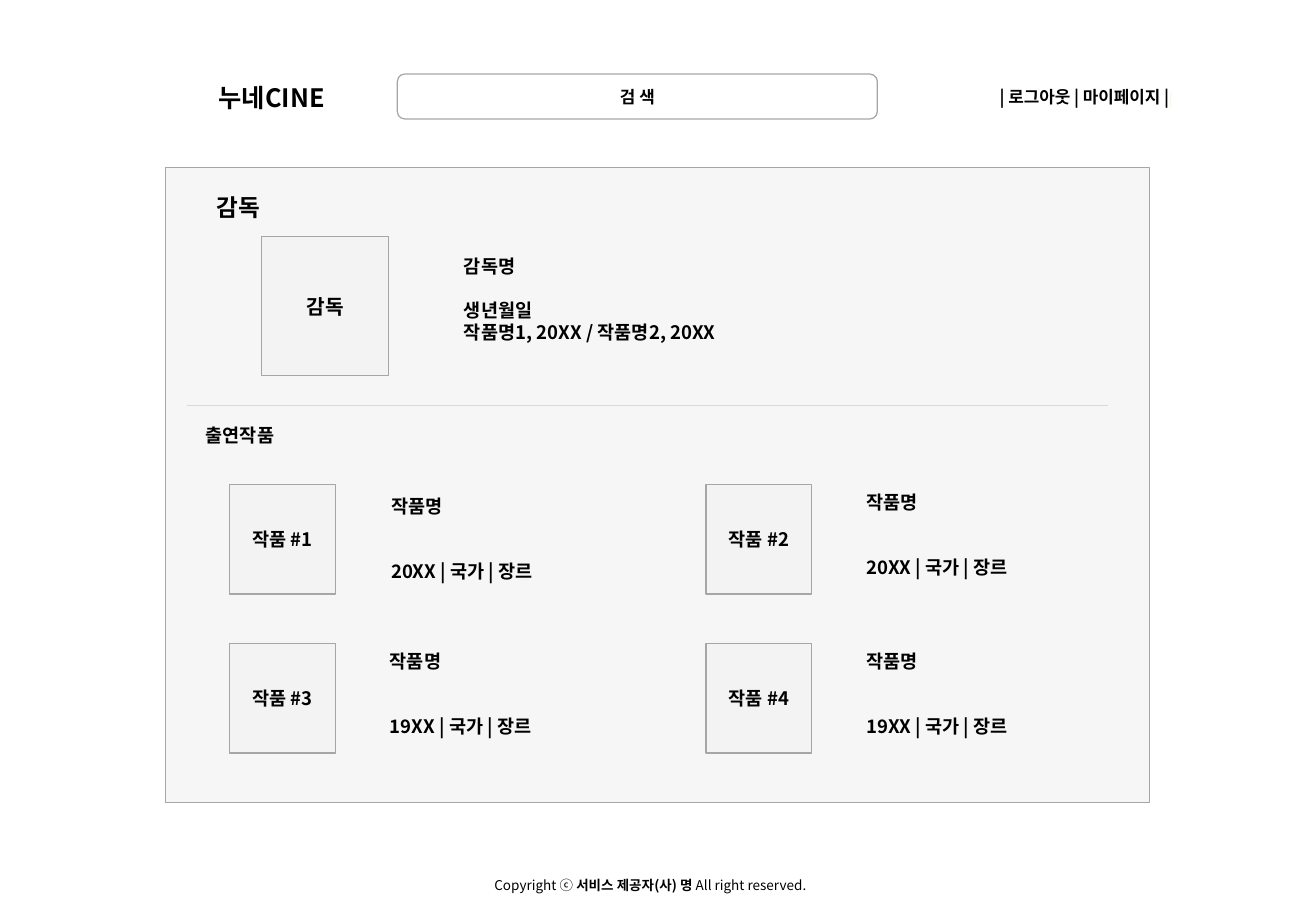
from lxml.etree import SubElement
from pptx import Presentation
from pptx.dml.color import RGBColor
from pptx.enum.shapes import MSO_CONNECTOR as Connector, MSO_SHAPE as Shape
from pptx.enum.text import MSO_ANCHOR as Anchor, MSO_AUTO_SIZE as AutoSize, PP_ALIGN as Align
from pptx.oxml.ns import qn
from pptx.util import Pt

PX = 9144
FONT = "Noto Sans CJK KR"
COLORS = {"text": "000000", "box": "F2F2F2", "border": "A6A6A6", "divider": "D9D9D9", "pale": "FAF3DB"}
OPACITY = 69
LINE_WIDTH = 0.75
LINE_HEIGHT = 1.19

HEADER = (170, 61, 805, 37)
PANEL = (136, 138, 810, 523)
FOOTER = (397, 717, 289, 24)
WORKS = [
    ("작품 #1", "20XX", (123, 4)),
    ("작품 #2", "20XX", (122, 0)),
    ("작품 #3", "19XX", (122, 0)),
    ("작품 #4", "19XX", (122, 0)),
]


def color(name):
    """Return a named colour as RGB."""
    return RGBColor.from_string(COLORS[name])


def px(*lengths):
    """Turn pixel lengths into EMU."""
    return [length * PX for length in lengths]


def add_run(paragraph, text, size, bold=True, tone="text"):
    """Append one formatted run to a paragraph."""
    run = paragraph.add_run()
    run.text = text
    run.font.size = Pt(size)
    run.font.bold = bold
    run.font.color.rgb = color(tone)
    run.font.name = FONT
    SubElement(run.font._element, qn("a:ea")).set("typeface", FONT)


def write(shape, lines, size, align=Align.LEFT, anchor=Anchor.TOP, gap=0):
    """Fill a shape with lines, leaving a gap after the first one."""
    frame = shape.text_frame
    frame.word_wrap = True
    frame.auto_size = AutoSize.NONE
    frame.vertical_anchor = anchor
    for index, line in enumerate(lines):
        paragraph = frame.add_paragraph() if index else frame.paragraphs[0]
        paragraph.alignment = align
        paragraph.line_spacing = Pt(size * LINE_HEIGHT)
        paragraph.space_before = Pt(gap if index == 1 else 0)
        runs = [(line, size)] if isinstance(line, str) else line
        for run in runs:
            add_run(paragraph, *run)


def add_text(slide, box, lines, size, **layout):
    """Add a text box."""
    write(slide.shapes.add_textbox(*px(*box)), lines, size, **layout)


def add_box(slide, box, label=None, size=11, kind=Shape.RECTANGLE, filled=True):
    """Add an outlined box with an optional centred label."""
    shape = slide.shapes.add_shape(kind, *px(*box))
    shape.shadow.inherit = False
    shape.line.color.rgb = color("border")
    shape.line.width = Pt(LINE_WIDTH)
    if filled:
        shape.fill.solid()
        shape.fill.fore_color.rgb = color("box")
        tint = shape._element.spPr.find(qn("a:solidFill"))[0]
        SubElement(tint, qn("a:alpha")).set("val", str(OPACITY * 1000))
    else:
        shape.fill.background()
    if label:
        write(shape, [label], size, align=Align.CENTER, anchor=Anchor.MIDDLE)
    return shape


def add_divider(slide, left, top, width):
    """Add a thin horizontal line."""
    line = slide.shapes.add_connector(Connector.STRAIGHT, *px(left, top, left + width, top))
    line.line.color.rgb = color("divider")
    line.line.width = Pt(LINE_WIDTH)
    SubElement(line._element.spPr, qn("a:effectLst"))


def add_header(slide, box):
    """Place the site name, search field and account menu."""
    left, top, width, height = box
    title = slide.shapes.title
    title.left, title.top, title.width, title.height = px(left, top + 2, 130, 35)
    write(title, ["누네CINE"], 15)
    search = add_box(slide, (left + 157, top, 395, height), "검 색", 10, Shape.ROUNDED_RECTANGLE, False)
    search.adjustments[0] = 0.167
    menu = [("| 로그아웃 | 마이페이지 |", 10), ("|", 8, False, "pale")]
    add_text(slide, (left + width - 210, top + 6, 210, 26), [menu], 10, align=Align.RIGHT)


def add_director(slide, box):
    """Place the director's heading, portrait box and details."""
    left, top, width, height = box
    add_text(slide, (left, top, 103, 33), ["감독"], 14, align=Align.CENTER, anchor=Anchor.MIDDLE)
    add_box(slide, (left + 70, top + 41, 105, 114), "감독", 12)
    details = ["감독명", "생년월일", "작품명1, 20XX / 작품명2, 20XX"]
    add_text(slide, (left + 227, top + 51, 296, 101), details, 11, gap=13)
    add_divider(slide, left + 9, top + height, width)


def add_works(slide, box):
    """Place the works heading and a two-column grid of works."""
    left, top, width, height = box
    add_text(slide, (left, top, 105, 33), ["출연작품"], 11, align=Align.CENTER, anchor=Anchor.MIDDLE)
    for index, (label, year, (shift_x, shift_y)) in enumerate(WORKS):
        row, column = divmod(index, 2)
        x = left + 44 + column * 392
        y = top + 57 + row * 131
        add_box(slide, (x, y, 87, 90), label)
        details = ["작품명", f"{year} | 국가 | 장르"]
        add_text(slide, (x + shift_x, y + shift_y, 174, 82), details, 11, gap=25.5)


def add_panel(slide, box):
    """Place the content panel with its two sections."""
    left, top, width, height = box
    add_box(slide, box)
    add_director(slide, (left + 9, top + 16, 758, 180))
    add_works(slide, (left + 9, top + 204, width - 9, height - 204))


def add_footer(slide, box):
    """Place the copyright line."""
    line = [("Copyright ⓒ ", 8, False), ("서비스 제공자(사) 명", 8), (" All right reserved.", 8, False)]
    add_text(slide, box, [line], 8)


def main():
    """Build and save the presentation."""
    presentation = Presentation()
    presentation.slide_width, presentation.slide_height = px(1083, 750)
    slide = presentation.slides.add_slide(presentation.slide_layouts[5])
    add_header(slide, HEADER)
    add_panel(slide, PANEL)
    add_footer(slide, FOOTER)
    presentation.save("out.pptx")


if __name__ == "__main__":
    main()
